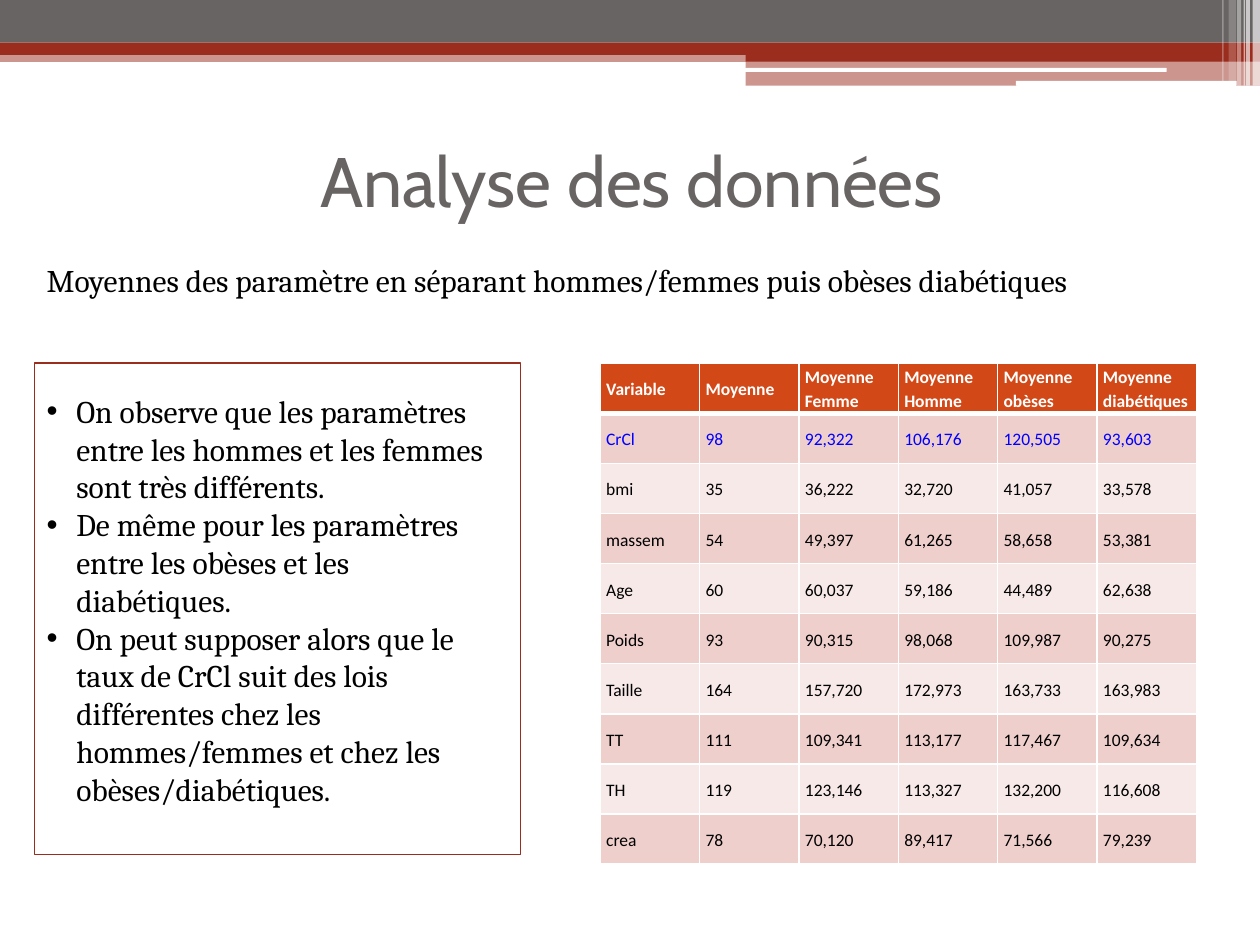
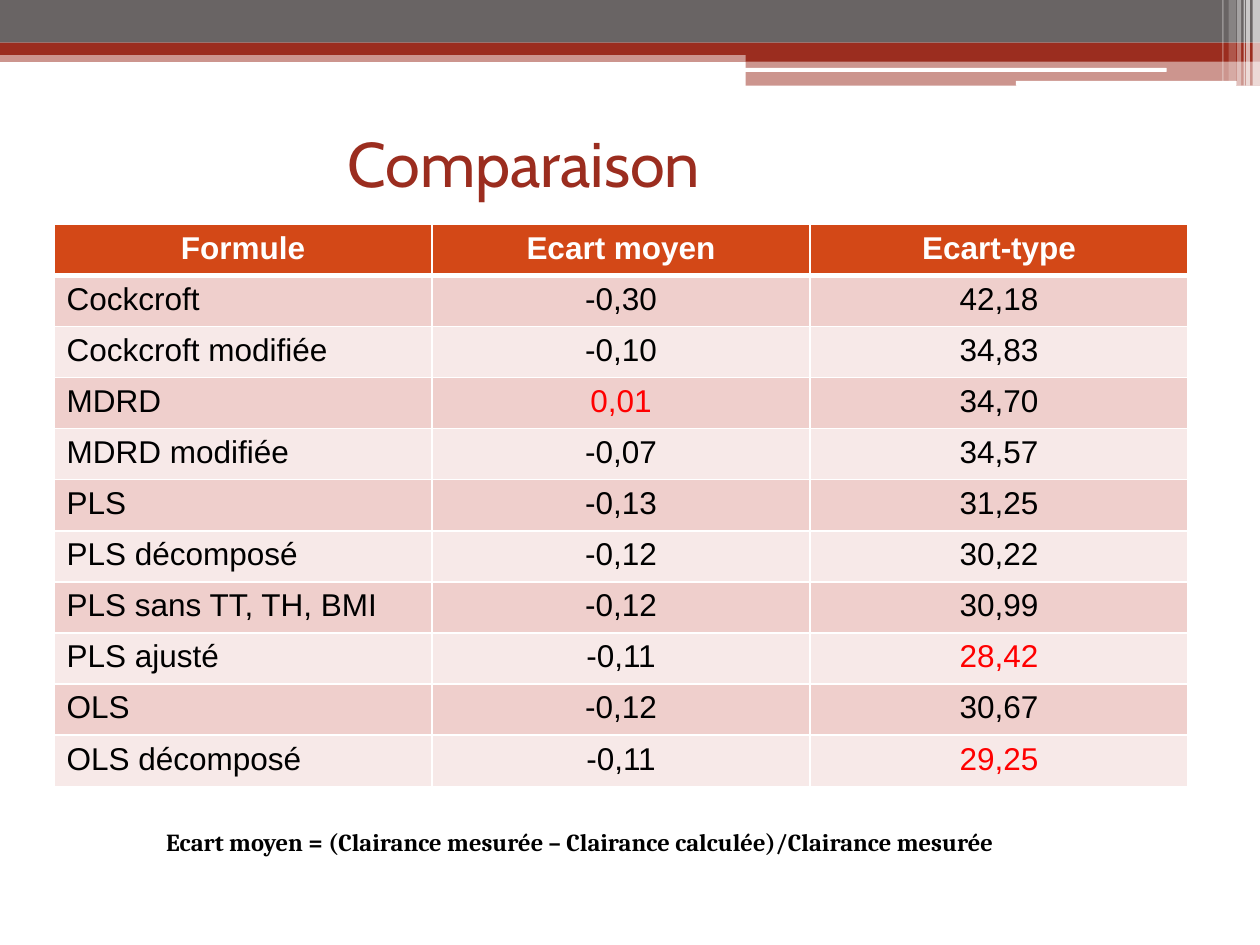
from lxml import etree
from pptx import Presentation, util as u
from pptx.dml.color import RGBColor
from pptx.enum import shapes, text
from pptx.oxml.ns import qn

GREY, BRICK, WHITE, BLACK = "696464", "9B2D1F", "FFFFFF", "000000"
HEADER, BANDS = "D34817", ("EFCFCC", "F7E9E8")
BLUE, RED = "0000FF", "FF0000"
LEFT, CENTER, JUSTIFY = text.PP_ALIGN.LEFT, text.PP_ALIGN.CENTER, text.PP_ALIGN.JUSTIFY
TOP, MIDDLE = text.MSO_ANCHOR.TOP, text.MSO_ANCHOR.MIDDLE
RECT, ROUND = shapes.MSO_SHAPE.RECTANGLE, shapes.MSO_SHAPE.ROUNDED_RECTANGLE

BANNER = [
    (RECT, (0, 1.02, 25.4, 0.23), BRICK, 50),
    (RECT, (0, 0, 25.4, 0.86), GREY, 100),
    (RECT, (0, 0.86, 25.4, 0.25), BRICK, 100),
    (RECT, (15.03, 1, 10.37, 0.24), BRICK, 100),
    (RECT, (15.03, 1.23, 10.37, 0.5), BRICK, 50),
    (ROUND, (15.01, 1.37, 8.51, 0.08), WHITE, 100),
    (ROUND, (20.48, 1.63, 4.45, 0.1), WHITE, 100),
    (RECT, (25.25, 0, 0.15, 1.73), WHITE, 65),
    (RECT, (25.12, 0, 0.08, 1.73), WHITE, 65),
    (RECT, (25.07, 0, 0.03, 1.73), WHITE, 60),
    (RECT, (24.94, 0, 0.08, 1.73), WHITE, 40),
    (RECT, (24.77, 0, 0.15, 1.63), WHITE, 20),
    (RECT, (24.64, 0, 0.03, 1.63), WHITE, 30),
]

MEANS = [
    ["Variable", "Moyenne", "Moyenne Femme", "Moyenne Homme", "Moyenne obèses", "Moyenne diabétiques"],
    ["CrCl", "98", "92,322", "106,176", "120,505", "93,603"],
    ["bmi", "35", "36,222", "32,720", "41,057", "33,578"],
    ["massem", "54", "49,397", "61,265", "58,658", "53,381"],
    ["Age", "60", "60,037", "59,186", "44,489", "62,638"],
    ["Poids", "93", "90,315", "98,068", "109,987", "90,275"],
    ["Taille", "164", "157,720", "172,973", "163,733", "163,983"],
    ["TT", "111", "109,341", "113,177", "117,467", "109,634"],
    ["TH", "119", "123,146", "113,327", "132,200", "116,608"],
    ["crea", "78", "70,120", "89,417", "71,566", "79,239"],
]

FINDINGS = [
    "On observe que les paramètres entre les hommes et les femmes sont très différents.",
    "De même pour les paramètres entre les obèses et les diabétiques.",
    "On peut supposer alors que le taux de CrCl suit des lois différentes chez les "
    "hommes/femmes et chez les obèses/diabétiques.",
]

DEVIATIONS = [
    ["Formule", "Ecart moyen", "Ecart-type"],
    ["Cockcroft", "-0,30", "42,18"],
    ["Cockcroft modifiée", "-0,10", "34,83"],
    ["MDRD", "0,01", "34,70"],
    ["MDRD modifiée", "-0,07", "34,57"],
    ["PLS", "-0,13", "31,25"],
    ["PLS décomposé", "-0,12", "30,22"],
    ["PLS sans TT, TH, BMI", "-0,12", "30,99"],
    ["PLS ajusté", "-0,11", "28,42"],
    ["OLS", "-0,12", "30,67"],
    ["OLS décomposé", "-0,11", "29,25"],
]


def color(code):
    """Turn a hex string into a colour."""
    return RGBColor.from_string(code)


def place(box):
    """Turn centimetres into lengths."""
    return [u.Cm(side) for side in box]


def write(frame, lines, font="Cambria", size=18, ink=BLACK, bold=False, align=LEFT,
          spacing=None, after=None, bullet=None):
    """Fill a text frame with one paragraph per line."""
    frame.word_wrap = True
    for index, line in enumerate([lines] if isinstance(lines, str) else lines):
        paragraph = frame.add_paragraph() if index else frame.paragraphs[0]
        paragraph.alignment, paragraph.line_spacing = align, spacing
        if after:
            paragraph.space_after = u.Pt(after)
        if bullet:
            props = paragraph._p.get_or_add_pPr()
            props.set("marL", str(u.Cm(0.6)))
            props.set("indent", str(-u.Cm(0.6)))
            etree.SubElement(props, qn("a:buFont"), typeface="Arial")
            etree.SubElement(props, qn("a:buChar"), char=bullet)
        run = paragraph.add_run()
        run.text = line
        run.font.name, run.font.size, run.font.bold = font, u.Pt(size), bold
        run.font.color.rgb = color(ink)


def border(cell, bottom):
    """Draw white lines round a cell."""
    props = cell._tc.get_or_add_tcPr()
    for side, width in (("L", 1), ("R", 1), ("T", 1), ("B", bottom)):
        line = etree.SubElement(props, qn(f"a:ln{side}"), w=str(u.Pt(width)))
        etree.SubElement(etree.SubElement(line, qn("a:solidFill")), qn("a:srgbClr"), val=WHITE)


class Deck:
    """Hold the shared style and the current slide."""

    def __init__(self):
        """Start an empty 4:3 presentation."""
        self.show = Presentation()
        self.show.slide_width, self.show.slide_height = u.Cm(25.4), u.Cm(19.05)

    def page(self):
        """Add a slide with the banner."""
        self.slide = self.show.slides.add_slide(self.show.slide_layouts[6])
        for kind, box, fill, opacity in BANNER:
            self.band(kind, box, fill, opacity)

    def band(self, kind, box, fill, opacity):
        """Add a plain banner piece."""
        band = self.slide.shapes.add_shape(kind, *place(box))
        band.shadow.inherit = False
        band.line.fill.background()
        band.fill.solid()
        band.fill.fore_color.rgb = color(fill)
        if opacity < 100:
            tint = band._element.spPr.find(".//" + qn("a:srgbClr"))
            etree.SubElement(tint, qn("a:alpha"), val=str(opacity * 1000))

    def label(self, box, words, anchor=TOP, left=0.25, top=0.13, **style):
        """Add a text box."""
        frame = self.slide.shapes.add_textbox(*place(box)).text_frame
        frame.vertical_anchor = anchor
        frame.margin_left, frame.margin_top = u.Cm(left), u.Cm(top)
        write(frame, words, **style)

    def title(self, box, words, **style):
        """Add a slide title."""
        self.label(box, words, font="Cabin", **style)

    def panel(self, box, points):
        """Add an outlined list of points."""
        panel = self.slide.shapes.add_shape(RECT, *place(box))
        panel.shadow.inherit = False
        panel.fill.background()
        panel.line.color.rgb, panel.line.width = color(BRICK), u.Pt(0.75)
        panel.text_frame.vertical_anchor = TOP
        panel.text_frame.margin_top = u.Cm(0.58)
        write(panel.text_frame, points, bullet="•")

    def table(self, box, rows, aligns, accent, accented, anchor=TOP, margins=None, **style):
        """Add a banded table, with the accented values in their own colour."""
        grid = self.slide.shapes.add_table(len(rows), len(rows[0]), *place(box)).table
        for r, row in enumerate(rows):
            for c, value in enumerate(row):
                cell = grid.cell(r, c)
                border(cell, 1 if r else 3)
                cell.fill.solid()
                cell.fill.fore_color.rgb = color(BANDS[(r - 1) % 2] if r else HEADER)
                cell.vertical_anchor = anchor
                if margins:
                    cell.margin_left = cell.margin_right = u.Cm(margins[0])
                    cell.margin_top = cell.margin_bottom = u.Cm(margins[1])
                ink = WHITE if r == 0 else accent if value in accented else BLACK
                write(cell.text_frame, value, ink=ink, bold=r == 0,
                      align=aligns[c] if r else aligns[-1], **style)


def main():
    """Build both slides and save them."""
    deck = Deck()

    deck.page()
    deck.title((1.3, 2.13, 22.86, 2.97), "Analyse des données", anchor=MIDDLE,
               size=40, ink=GREY, align=CENTER)
    deck.table((12.1, 7.32, 12.02, 10.1), MEANS, [JUSTIFY] * 6, BLUE, MEANS[1],
               anchor=MIDDLE, margins=(0.12, 0), font="Calibri", size=10,
               spacing=1.15, after=10)
    deck.panel((0.69, 7.32, 9.8, 9.91), FINDINGS)
    deck.label((0.69, 5.13, 23.22, 1.02),
               "Moyennes des paramètre en séparant hommes/femmes puis obèses diabétiques")

    deck.page()
    deck.title((1.09, 2.51, 22.86, 2.97), "Comparaison", left=5.92, top=0, size=36, ink=BRICK)
    deck.label((3.1, 16.54, 20.02, 0.86),
               "Ecart moyen = (Clairance mesurée – Clairance calculée)/Clairance mesurée",
               size=14, bold=True)
    deck.table((1.09, 4.52, 22.86, 11.33), DEVIATIONS, [LEFT, CENTER, CENTER], RED,
               {"0,01", "28,42", "29,25"}, font="Arial")

    deck.show.save("out.pptx")


if __name__ == "__main__":
    main()
